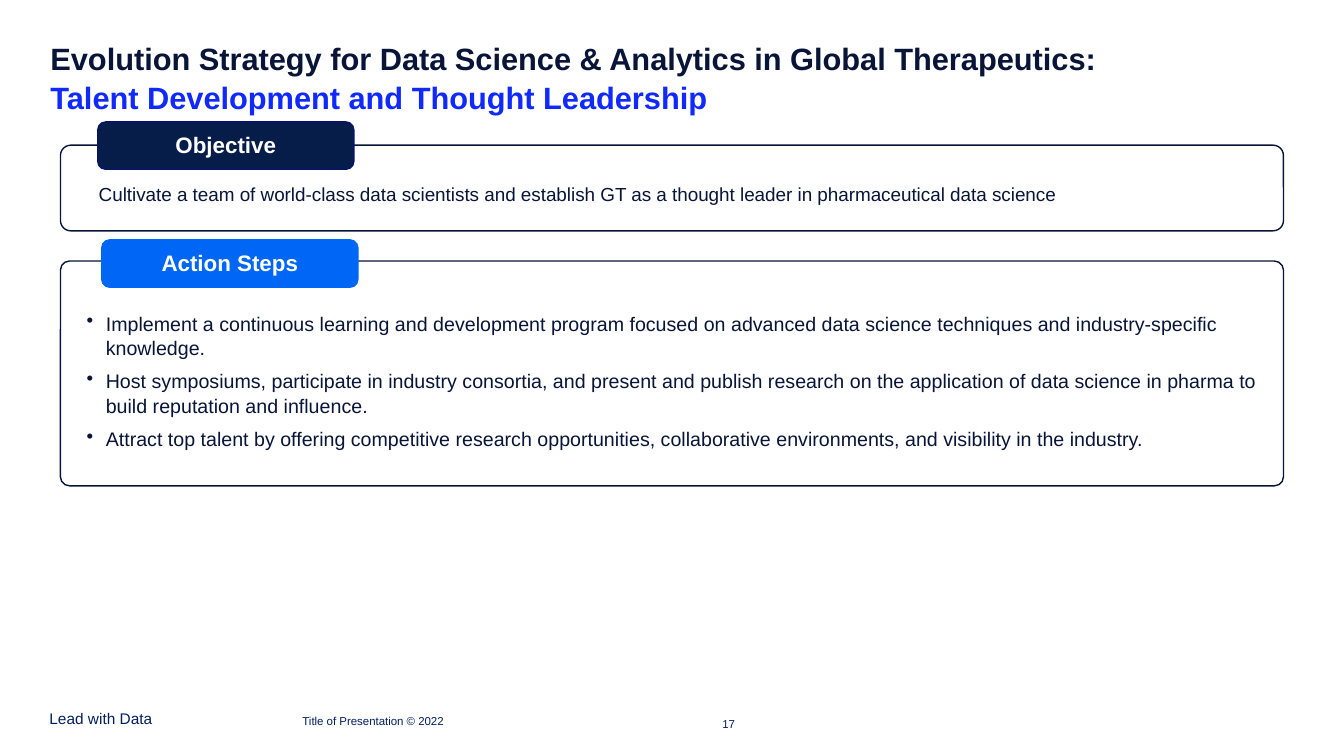
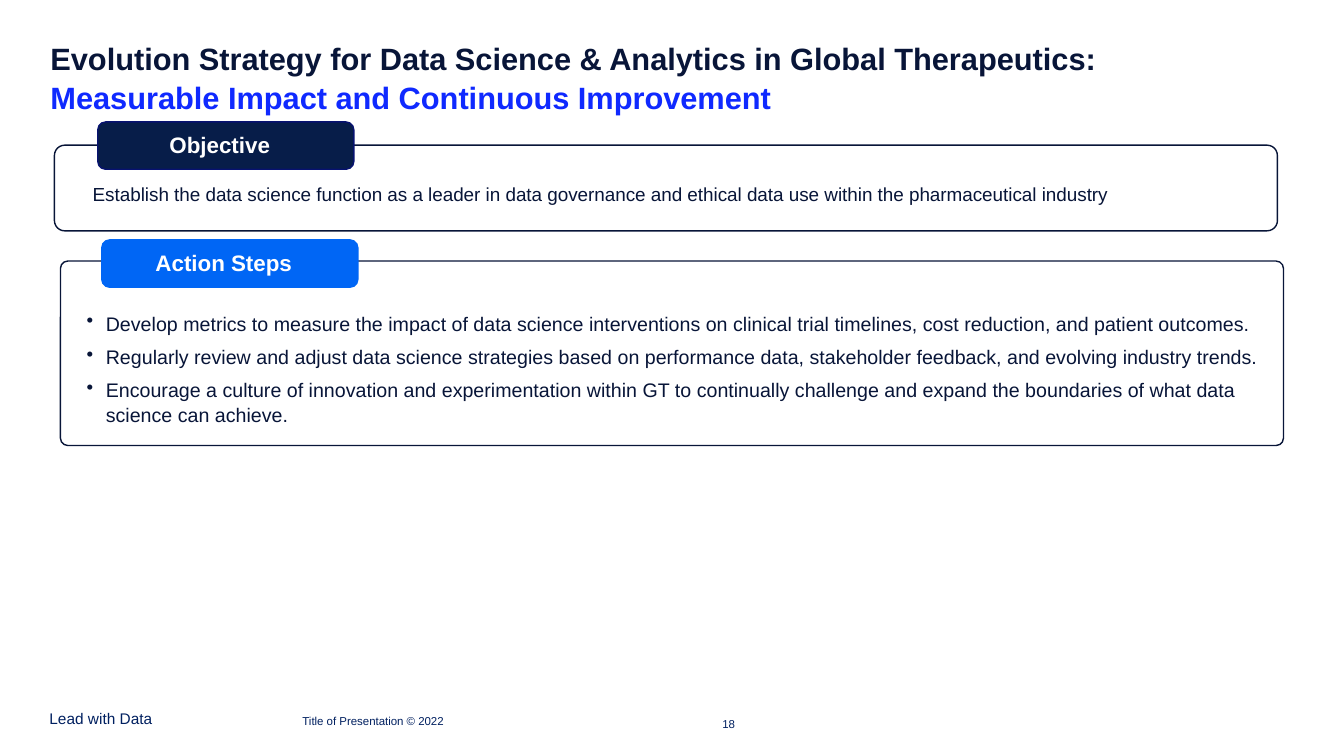
"""Builds two strategy slides, each with an objective panel and an action steps panel."""
from dataclasses import dataclass

from lxml import etree
from pptx import Presentation
from pptx.dml.color import RGBColor
from pptx.enum.shapes import MSO_SHAPE
from pptx.enum.text import MSO_ANCHOR, PP_ALIGN
from pptx.oxml.ns import qn
from pptx.util import Inches, Pt

ROUNDED = MSO_SHAPE.ROUNDED_RECTANGLE
TOP, MIDDLE, BOTTOM = MSO_ANCHOR.TOP, MSO_ANCHOR.MIDDLE, MSO_ANCHOR.BOTTOM
LEFT, CENTER, RIGHT = PP_ALIGN.LEFT, PP_ALIGN.CENTER, PP_ALIGN.RIGHT


@dataclass(frozen=True)
class Theme:
    font: str = "Arial"
    ink: str = "081538"
    accent: str = "0F29FF"
    footer: str = "002060"
    navy: str = "071D49"
    navy_edge: str = "071270"
    blue: str = "0066F5"
    white: str = "FFFFFF"
    title_size: float = 22
    label_size: float = 16
    body_size: float = 14
    objective_size: float = 13.5
    tagline_size: float = 11
    footer_size: float = 8.2
    spacing: float = 1.05


T = Theme()
TITLE = "Evolution Strategy for Data Science & Analytics in Global Therapeutics:"
SLIDES = [
    {
        "number": 17,
        "subtitle": "Talent Development and Thought Leadership",
        "objective": "Cultivate a team of world-class data scientists and establish GT as a thought leader in pharmaceutical data science",
        "shift": 0,
        "steps_height": 2.23,
        "steps": [
            "Implement a continuous learning and development program focused on advanced data science techniques and industry-specific knowledge.",
            "Host symposiums, participate in industry consortia, and present and publish research on the application of data science in pharma to build reputation and influence.",
            "Attract top talent by offering competitive research opportunities, collaborative environments, and visibility in the industry.",
        ],
    },
    {
        "number": 18,
        "subtitle": "Measurable Impact and Continuous Improvement",
        "objective": "Establish the data science function as a leader in data governance and ethical data use within the pharmaceutical industry",
        "shift": 0.06,
        "steps_height": 1.83,
        "steps": [
            "Develop metrics to measure the impact of data science interventions on clinical trial timelines, cost reduction, and patient outcomes.",
            "Regularly review and adjust data science strategies based on performance data, stakeholder feedback, and evolving industry trends.",
            "Encourage a culture of innovation and experimentation within GT to continually challenge and expand the boundaries of what data science can achieve.",
        ],
    },
]


def write(sp, lines, size, color, bold=False, align=LEFT, anchor=TOP, insets=(0, 0, 0, 0)):
    """Fill a shape with one paragraph per line and return its paragraphs."""
    tf = sp.text_frame
    tf.word_wrap = True
    tf.vertical_anchor = anchor
    tf.margin_left, tf.margin_top, tf.margin_right, tf.margin_bottom = map(Inches, insets)
    tf.text = "\n".join(lines)
    for p in tf.paragraphs:
        p.alignment = align
        p.font.name = T.font
        p.font.size = Pt(size)
        p.font.bold = bold
        p.font.color.rgb = RGBColor.from_string(color)
    return tf.paragraphs


def rounded(s, box, line, fill=None, radius=0.167):
    """Add a rounded rectangle with a thin outline."""
    sp = s.shapes.add_shape(ROUNDED, *map(Inches, box))
    sp.adjustments[0] = radius
    sp.shadow.inherit = False
    sp.line.color.rgb = RGBColor.from_string(line)
    sp.line.width = Pt(1)
    if fill:
        sp.fill.solid()
        sp.fill.fore_color.rgb = RGBColor.from_string(fill)
    else:
        sp.fill.background()
    return sp


prs = Presentation()
prs.slide_width, prs.slide_height = Inches(13.33), Inches(7.5)

for data in SLIDES:
    s = prs.slides.add_slide(prs.slide_layouts[6])
    shift = data["shift"]

    sp = s.shapes.add_textbox(Inches(0.5), Inches(0.38), Inches(11.42), Inches(0.8))
    paragraphs = write(sp, [TITLE, data["subtitle"]], T.title_size, T.ink, bold=True)
    paragraphs[1].font.color.rgb = RGBColor.from_string(T.accent)
    for p in paragraphs:
        p.line_spacing = T.spacing

    sp = rounded(s, (0.6 - shift, 1.44, 12.13, 0.85), T.ink, radius=0.12)
    write(sp, [data["objective"]], T.objective_size, T.ink, anchor=MIDDLE, insets=(0.35, 0.12, 0.35, 0))
    rounded(s, (0.6, 2.59, 12.13, data["steps_height"]), T.ink, radius=0.04)

    for label, left, top, fill, line in (
        ("Objective", 0.97, 1.21, T.navy, T.navy_edge),
        ("Action Steps", 1.01, 2.38, T.blue, T.blue),
    ):
        sp = rounded(s, (left, top, 2.54, 0.47), line, fill)
        write(sp, [label], T.label_size, T.white, True, CENTER, MIDDLE, (0, 0, 2 * shift, 0.02))

    sp = s.shapes.add_textbox(Inches(0.49), Inches(3.08), Inches(12.13), Inches(1.3))
    for p in write(sp, data["steps"], T.body_size, T.ink):
        p.line_spacing = T.spacing
        p.space_before = Pt(6)
        pPr = p._p.get_or_add_pPr()
        pPr.set("marL", str(Inches(0.56)))
        pPr.set("indent", str(Inches(-0.19)))
        bullet = etree.Element(qn("a:buChar"), char="•")
        pPr.find(qn("a:spcBef")).addnext(bullet)

    for text, left, top, width, size, align in (
        ("Lead with Data", 0.49, 7, 1.76, T.tagline_size, LEFT),
        ("Title of Presentation © 2022", 3, 7, 3.43, T.footer_size, LEFT),
        (str(data["number"]), 6.71, 7.03, 0.58, T.footer_size, RIGHT),
    ):
        sp = s.shapes.add_textbox(Inches(left), Inches(top), Inches(width), Inches(0.22))
        write(sp, [text], size, T.footer, align=align, anchor=BOTTOM)

prs.save("out.pptx")
